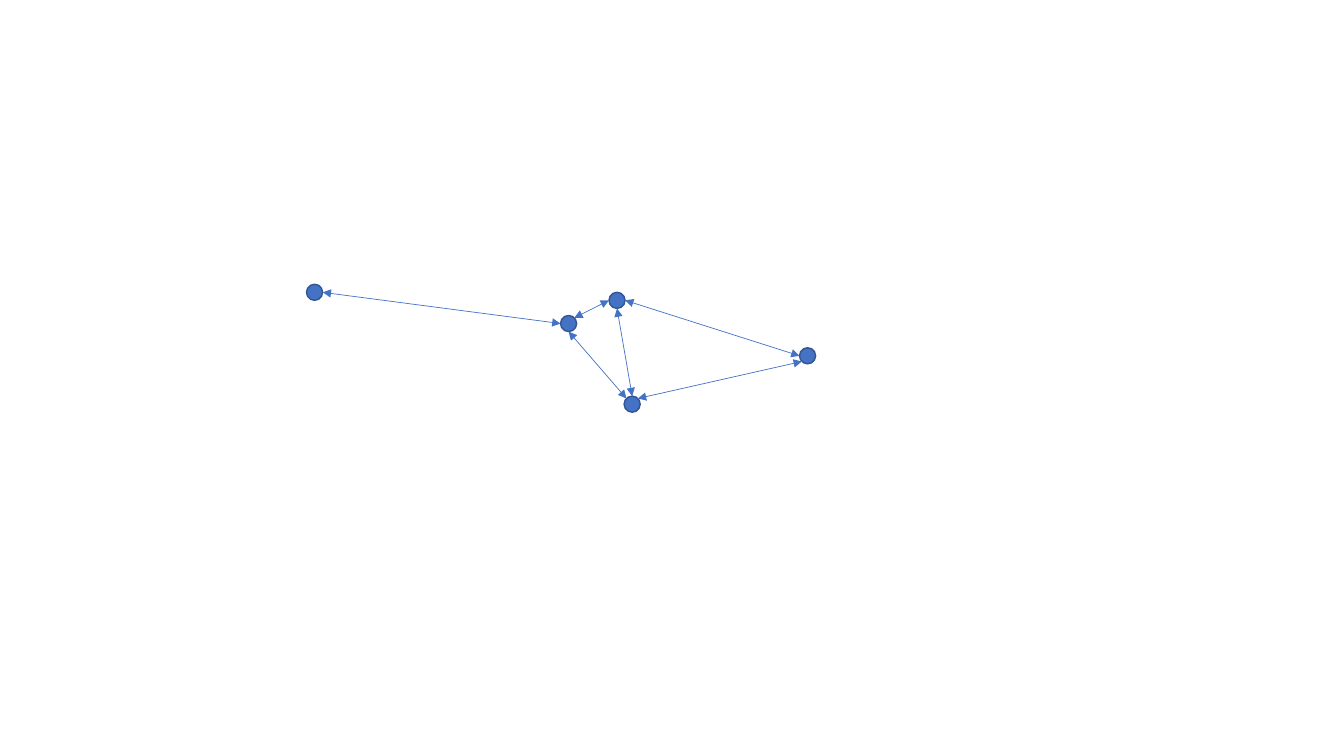
from dataclasses import dataclass
from math import sqrt

from lxml.etree import SubElement
from pptx import Presentation
from pptx.dml.color import RGBColor
from pptx.enum.shapes import MSO_CONNECTOR, MSO_SHAPE
from pptx.oxml.ns import qn
from pptx.util import Inches, Pt


@dataclass(frozen=True)
class Theme:
    accent: RGBColor = RGBColor(0x44, 0x72, 0xC4)
    node_border: RGBColor = RGBColor(0x32, 0x54, 0x91)
    node_border_width: Pt = Pt(1)
    edge_width: Pt = Pt(0.5)


@dataclass(frozen=True)
class Box:
    left: int
    top: int
    width: int
    height: int

    def point(self, across, down):
        """Turn percentages of the box into a position on the slide."""
        return (self.left + self.width * across / 100,
                self.top + self.height * down / 100)


THEME = Theme()
NODE_SIZE = Inches(0.16)

# Node centres in percent of the graph's box.
NODES = {
    "west": (0, 0),
    "hub": (51.53, 27.93),
    "north": (61.35, 7.21),
    "south": (64.42, 100),
    "east": (100, 56.76),
}

# Each edge joins a rim site of one node to a rim site of another.
EDGES = [
    ("west", "right", "hub", "left"),
    ("north", "left", "hub", "top right"),
    ("north", "right", "east", "left"),
    ("hub", "bottom", "south", "top left"),
    ("east", "bottom left", "south", "top right"),
    ("north", "bottom", "south", "top"),
]

DIRECTIONS = {"left": (-1, 0), "right": (1, 0), "top": (0, -1), "bottom": (0, 1)}


def rim_point(center, site):
    """Return the point of a node's circle that lies towards the named site."""
    steps = [DIRECTIONS[word] for word in site.split()]
    reach = NODE_SIZE / 2 / sqrt(len(steps))
    return [round(middle + reach * sum(parts))
            for middle, parts in zip(center, zip(*steps))]


def add_node(slide, center):
    left, top = (round(middle - NODE_SIZE / 2) for middle in center)
    shape = slide.shapes.add_shape(
        MSO_SHAPE.FLOWCHART_CONNECTOR, left, top, NODE_SIZE, NODE_SIZE)
    shape.shadow.inherit = False
    shape.fill.solid()
    shape.fill.fore_color.rgb = THEME.accent
    shape.line.color.rgb = THEME.node_border
    shape.line.width = THEME.node_border_width


def add_edge(slide, start, end):
    connector = slide.shapes.add_connector(MSO_CONNECTOR.STRAIGHT, *start, *end)
    connector.line.color.rgb = THEME.accent
    connector.line.width = THEME.edge_width
    line = connector.line._get_or_add_ln()
    for tag in ("a:headEnd", "a:tailEnd"):
        SubElement(line, qn(tag), type="triangle")
    SubElement(connector._element.spPr, qn("a:effectLst"))


def add_graph(slide, box):
    centers = {name: box.point(*share) for name, share in NODES.items()}
    for center in centers.values():
        add_node(slide, center)
    for source, source_site, target, target_site in EDGES:
        add_edge(slide, rim_point(centers[source], source_site),
                 rim_point(centers[target], target_site))


def main():
    presentation = Presentation()
    presentation.slide_width = Inches(13.33)
    presentation.slide_height = Inches(7.5)
    blank_layout = presentation.slide_layouts[6]
    slide = presentation.slides.add_slide(blank_layout)
    add_graph(slide, Box(Inches(3.12), Inches(2.9), Inches(4.89), Inches(1.11)))
    presentation.save("out.pptx")


if __name__ == "__main__":
    main()
